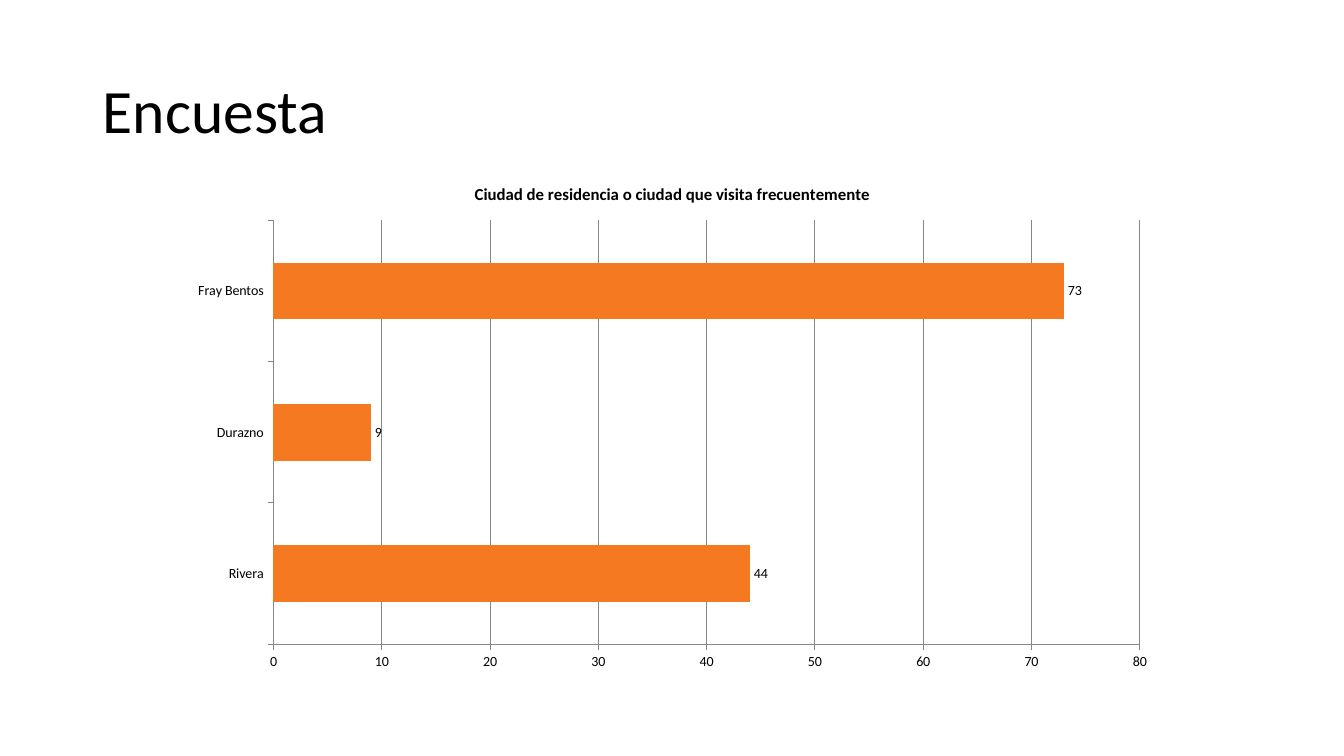
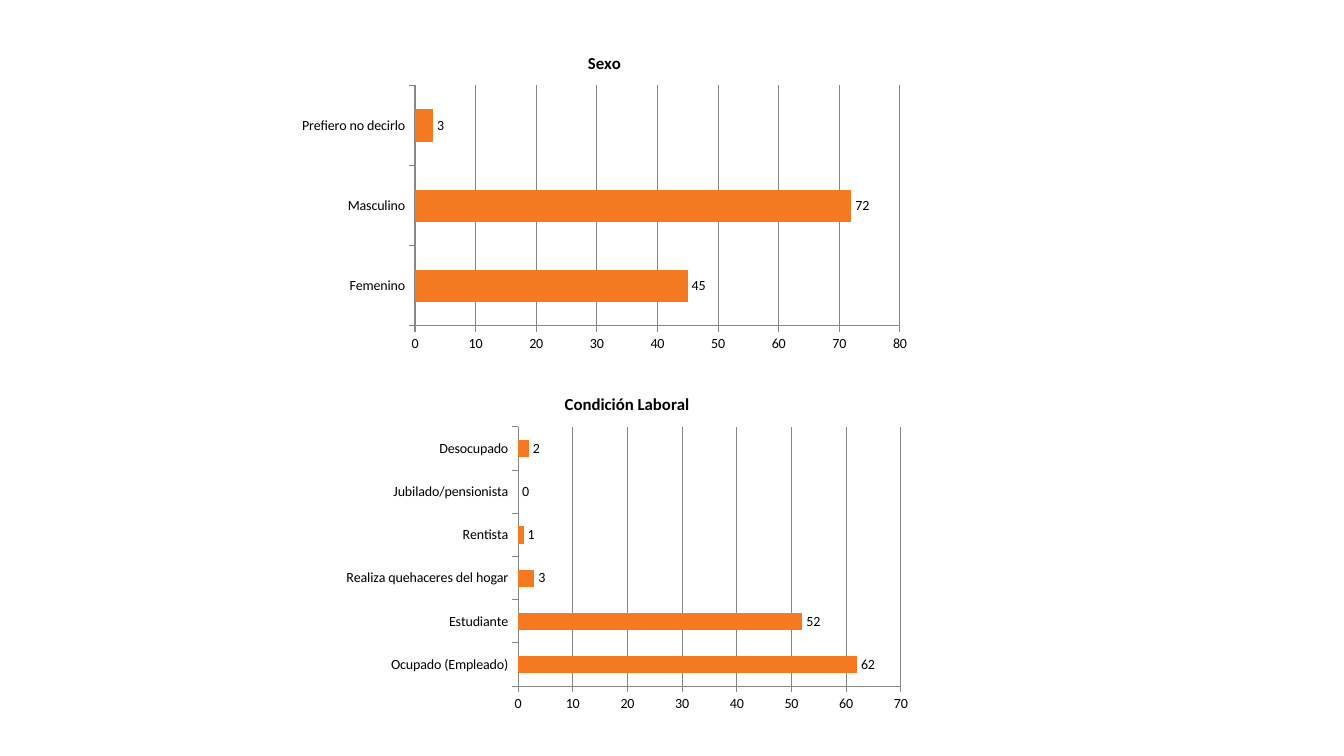
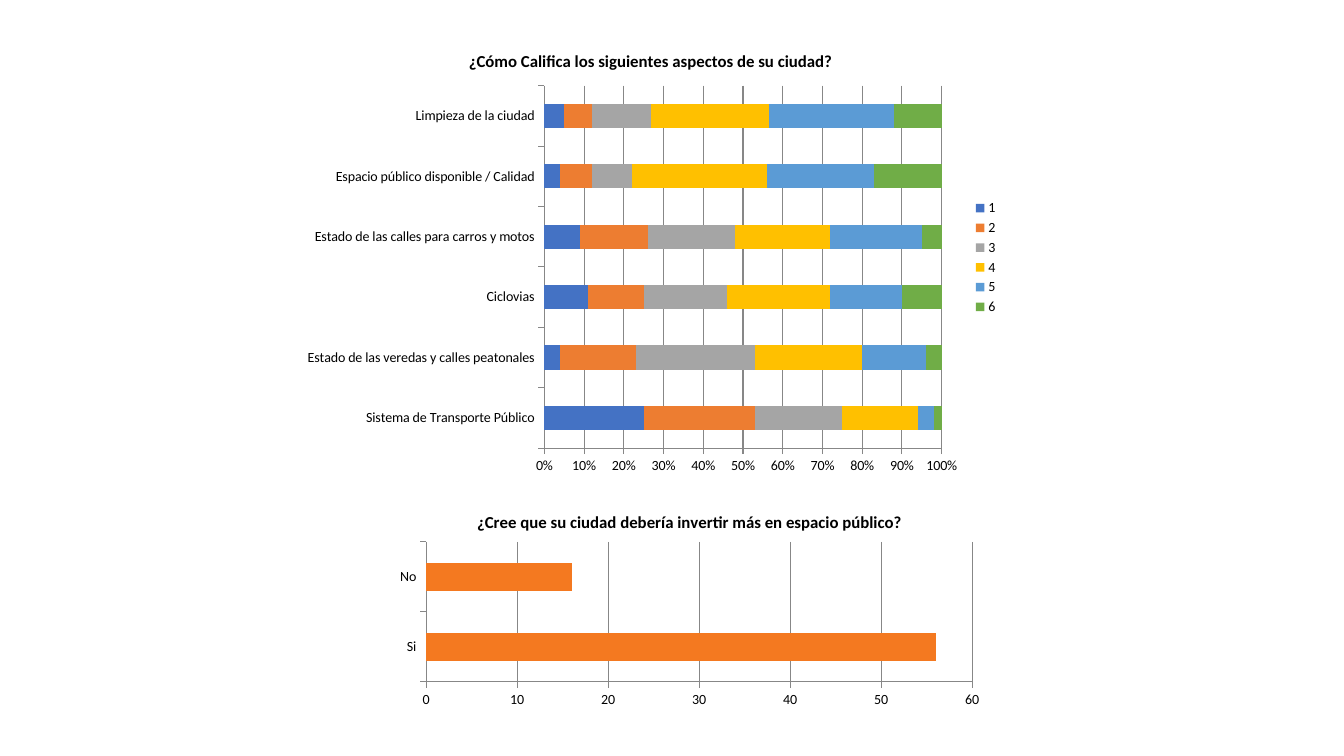
import pptx
import pptx.chart.data
import pptx.dml.color
import pptx.enum.chart
import pptx.enum.text
import pptx.util

Inches = pptx.util.Inches
Pt = pptx.util.Pt
Kind = pptx.enum.chart.XL_CHART_TYPE

FONT = "Calibri"
BLACK = "000000"
GRAY = "878787"
ORANGE = "F47920"
HUES = ["4472C4", "ED7D31", "A5A5A5", "FFC000", "5B9BD5", "70AD47"]


def color(code):
    return pptx.dml.color.RGBColor.from_string(code)


def style(font, size, bold=False):
    font.name = FONT
    font.size = Pt(size)
    font.bold = bold
    font.color.rgb = color(BLACK)


def rule(line):
    line.width = Pt(0.75)
    line.color.rgb = color(GRAY)


def add_title(slide, text):
    title = slide.shapes.title
    title.left, title.top = Inches(0.92), Inches(0.4)
    title.width, title.height = Inches(11.5), Inches(1.45)
    frame = title.text_frame
    frame.text = text
    frame.vertical_anchor = pptx.enum.text.MSO_ANCHOR.MIDDLE
    line = frame.paragraphs[0]
    line.alignment = pptx.enum.text.PP_ALIGN.LEFT
    line.line_spacing = 0.9
    style(line.runs[0].font, 44)


def add_bars(slide, box, title, cats, rows, hues, kind=Kind.BAR_CLUSTERED):
    data = pptx.chart.data.CategoryChartData()
    data.categories = cats
    for name, vals in rows.items():
        data.add_series(name, vals)
    chart = slide.shapes.add_chart(kind, *map(Inches, box), data).chart
    style(chart.font, 10)
    chart.has_legend = False
    chart.has_title = True
    chart.chart_title.include_in_layout = False
    head = chart.chart_title.text_frame
    head.text = title
    style(head.paragraphs[0].runs[0].font, 12, True)
    plot = chart.plots[0]
    plot.gap_width = 150
    plot.vary_by_categories = False
    for item, hue in zip(plot.series, hues):
        item.format.fill.solid()
        item.format.fill.fore_color.rgb = color(hue)
    for axis in (chart.category_axis, chart.value_axis):
        axis.major_tick_mark = pptx.enum.chart.XL_TICK_MARK.OUTSIDE
        axis.minor_tick_mark = pptx.enum.chart.XL_TICK_MARK.NONE
        rule(axis.format.line)
    chart.value_axis.has_major_gridlines = True
    rule(chart.value_axis.major_gridlines.format.line)
    return chart


def add_count(slide, box, title, counts, labels=True):
    rows = {"Series 1": list(counts.values())}
    chart = add_bars(slide, box, title, list(counts), rows, [ORANGE])
    if labels:
        plot = chart.plots[0]
        plot.has_data_labels = True
        plot.data_labels.show_value = True
        plot.data_labels.position = pptx.enum.chart.XL_LABEL_POSITION.OUTSIDE_END
        style(plot.data_labels.font, 10)


def add_share(slide, box, title, grades):
    rows = {str(n): vals for n, vals in enumerate(zip(*grades.values()), 1)}
    chart = add_bars(slide, box, title, list(grades), rows, HUES,
                     Kind.BAR_STACKED_100)
    chart.plots[0].overlap = 100
    ticks = chart.value_axis.tick_labels
    ticks.number_format = "0%"
    ticks.number_format_is_linked = False
    chart.has_legend = True
    chart.legend.position = pptx.enum.chart.XL_LEGEND_POSITION.RIGHT
    chart.legend.include_in_layout = False
    style(chart.legend.font, 10)


def main():
    deck = pptx.Presentation()
    deck.slide_width, deck.slide_height = Inches(13.33), Inches(7.5)
    titled, blank = deck.slide_layouts[5], deck.slide_layouts[6]

    slide = deck.slides.add_slide(titled)
    add_title(slide, "Encuesta")
    add_count(slide, (1.77, 1.63, 9.8, 5.12),
              "Ciudad de residencia o ciudad que visita frecuentemente",
              {"Rivera": 44, "Durazno": 9, "Fray Bentos": 73})

    slide = deck.slides.add_slide(blank)
    add_count(slide, (2.87, 0.37, 6.25, 3.18), "Sexo",
              {"Femenino": 45, "Masculino": 72, "Prefiero no decirlo": 3})
    add_count(slide, (3.32, 3.75, 5.8, 3.38), "Condición Laboral", {
        "Ocupado (Empleado)": 62,
        "Estudiante": 52,
        "Realiza quehaceres del hogar": 3,
        "Rentista": 1,
        "Jubilado/pensionista": 0,
        "Desocupado": 2,
    })

    slide = deck.slides.add_slide(blank)
    add_share(slide, (2.91, 0.32, 7.09, 4.47),
              "¿Cómo Califica los siguientes aspectos de su ciudad?", {
        "Sistema de Transporte Público": (25, 28, 22, 19, 4, 2),
        "Estado de las veredas y calles peatonales": (4, 19, 30, 27, 16, 4),
        "Ciclovias": (11, 14, 21, 26, 18, 10),
        "Estado de las calles para carros y motos": (9, 17, 22, 24, 23, 5),
        "Espacio público disponible / Calidad": (4, 8, 10, 34, 27, 17),
        "Limpieza de la ciudad": (5, 7, 15, 30, 32, 12),
    })
    add_count(slide, (3.85, 4.94, 5.98, 2.12),
              "¿Cree que su ciudad debería invertir más en espacio público?",
              {"Si": 56, "No": 16}, labels=False)

    deck.save("out.pptx")


if __name__ == "__main__":
    main()
